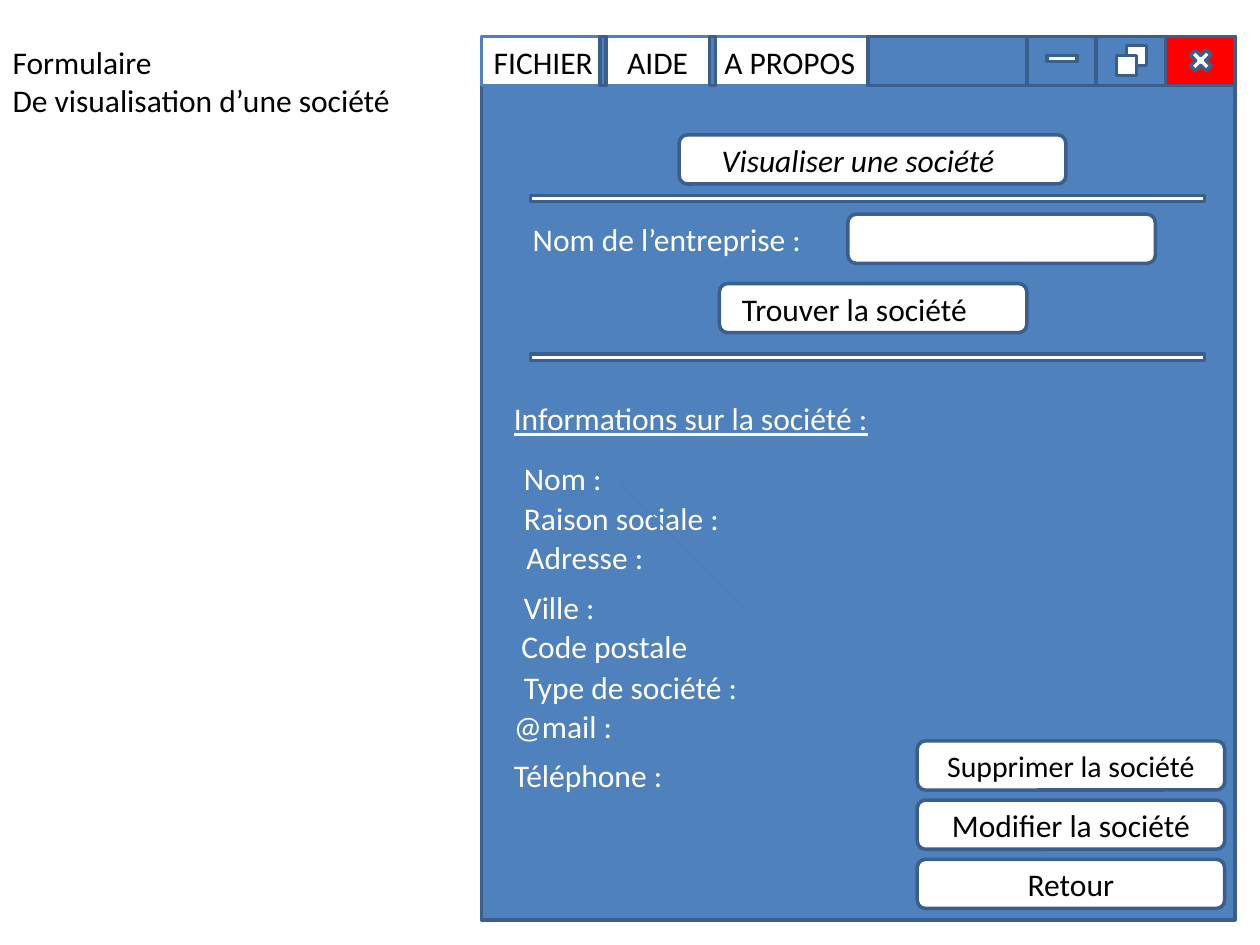
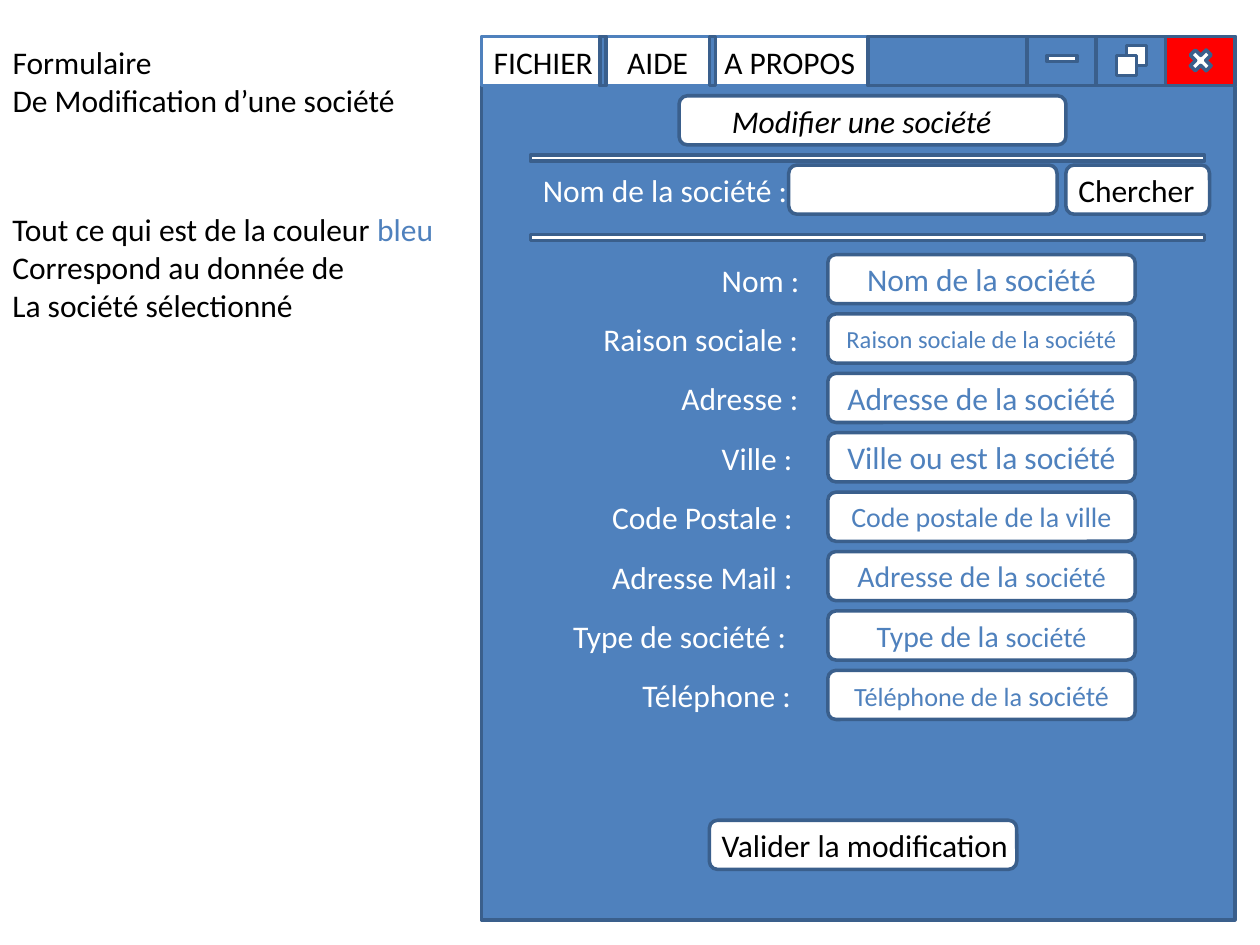
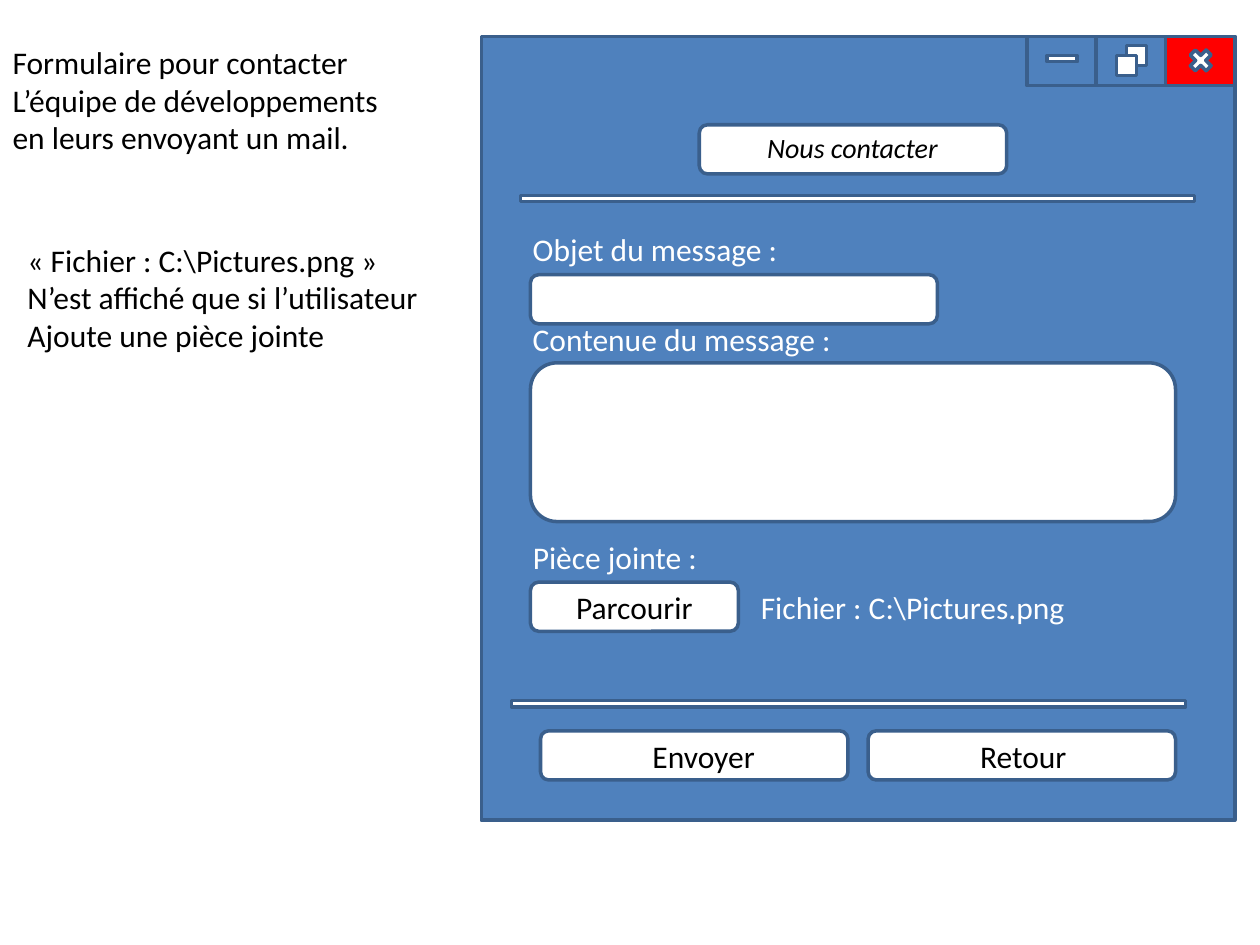
from dataclasses import dataclass
from typing import NamedTuple

from lxml import etree
from pptx import Presentation
from pptx.dml.color import RGBColor
from pptx.enum.shapes import MSO_CONNECTOR, MSO_SHAPE
from pptx.enum.text import MSO_ANCHOR, MSO_AUTO_SIZE, PP_ALIGN
from pptx.oxml.ns import qn
from pptx.util import Inches, Pt

RECTANGLE = MSO_SHAPE.RECTANGLE
ROUNDED = MSO_SHAPE.ROUNDED_RECTANGLE
CROSS = MSO_SHAPE.MATH_MULTIPLY
STRAIGHT = MSO_CONNECTOR.STRAIGHT
LEFT, CENTER = PP_ALIGN.LEFT, PP_ALIGN.CENTER
TOP, MIDDLE = MSO_ANCHOR.TOP, MSO_ANCHOR.MIDDLE
NO_AUTO_SIZE = MSO_AUTO_SIZE.NONE
TITLE_ONLY_LAYOUT = 5


@dataclass(frozen=True)
class Theme:
    font: str = "Calibri"
    blue: str = "4F81BD"
    outline: str = "3A5F8C"
    diagonal: str = "4B7EBC"
    white: str = "FFFFFF"
    black: str = "000000"
    red: str = "FF0000"
    body: float = 18
    outline_width: float = 2
    diagonal_width: float = 0.75


THEME = Theme()


class Box(NamedTuple):
    left: float
    top: float
    width: float
    height: float


class Span(NamedTuple):
    text: str
    color: str = THEME.black
    size: float = THEME.body
    italic: bool = False
    underline: bool = False


class Label(NamedTuple):
    left: float
    top: float
    width: float
    span: Span


class Button(NamedTuple):
    left: float
    top: float
    width: float
    spans: tuple[Span, ...] = ()
    height: float = 0.39


class Field(NamedTuple):
    """A caption and the value box to its right."""
    left: float
    width: float
    caption: str
    value: tuple[Span, ...]


WINDOW_LEFT, WINDOW_TOP, WINDOW_WIDTH = 3.82, 0.29, 5.98
BAR_HEIGHT = 0.39
CONTROL_LEFT, CONTROL_WIDTH = 8.15, 0.55
LABEL_HEIGHT = 0.4
LINE_HEIGHT = 0.3
BUTTON_WIDTH = 2.44
DIVIDER_WIDTH, THIN = 5.35, 0.05


def white(text: str, underline: bool = False) -> Span:
    return Span(text, THEME.white, underline=underline)


def blue(text: str, size: float = THEME.body) -> Span:
    return Span(text, THEME.blue, size)


def emu(box: Box) -> list[int]:
    return [Inches(length) for length in box]


def add_runs(paragraph, spans: tuple[Span, ...], alignment=LEFT) -> None:
    paragraph.alignment = alignment
    for span in spans:
        run = paragraph.add_run()
        run.text = span.text
        font = run.font
        font.name = THEME.font
        font.size = Pt(span.size)
        font.color.rgb = RGBColor.from_string(span.color)
        if span.italic:
            font.italic = True
        if span.underline:
            font.underline = True


def add_lines(text_frame, lines: list[tuple[Span, ...]]) -> None:
    text_frame.word_wrap = True
    for index, spans in enumerate(lines):
        paragraph = text_frame.add_paragraph() if index else text_frame.paragraphs[0]
        add_runs(paragraph, spans)


def add_text(slide, box: Box, lines: list[tuple[Span, ...]]):
    text_box = slide.shapes.add_textbox(*emu(box))
    add_lines(text_box.text_frame, lines)
    return text_box


def add_label(slide, label: Label):
    box = Box(label.left, label.top, label.width, LABEL_HEIGHT)
    return add_text(slide, box, [(label.span,)])


def add_panel(slide, box: Box, fill: str = THEME.white, line: str = THEME.outline,
              kind=RECTANGLE):
    shape = slide.shapes.add_shape(kind, *emu(box))
    shape.shadow.inherit = False
    shape.fill.solid()
    shape.fill.fore_color.rgb = RGBColor.from_string(fill)
    shape.line.color.rgb = RGBColor.from_string(line)
    shape.line.width = Pt(THEME.outline_width)
    return shape


def add_button(slide, button: Button) -> None:
    box = Box(button.left, button.top, button.width, button.height)
    shape = add_panel(slide, box, kind=ROUNDED)
    if button.spans:
        text_frame = shape.text_frame
        text_frame.word_wrap = True
        text_frame.vertical_anchor = MIDDLE
        add_runs(text_frame.paragraphs[0], button.spans, CENTER)


def add_divider(slide, left: float, top: float) -> None:
    add_panel(slide, Box(left, top, DIVIDER_WIDTH, THIN))


def add_window_controls(slide) -> None:
    """Minimise, restore and close, from left to right."""
    for index, fill in enumerate((THEME.blue, THEME.blue, THEME.red)):
        left = CONTROL_LEFT + index * CONTROL_WIDTH
        add_panel(slide, Box(left, WINDOW_TOP, CONTROL_WIDTH, BAR_HEIGHT), fill)
    add_panel(slide, Box(8.31, 0.44, 0.24, THIN))
    add_panel(slide, Box(9.41, 0.36, 0.24, 0.24), kind=CROSS)
    for left, top in ((8.94, 0.36), (8.86, 0.44)):
        add_panel(slide, Box(left, top, 0.16, 0.16))


def add_menu(slide) -> None:
    """Menu entries on tab stops, with the blue separators between them."""
    menu = add_text(slide, Box(WINDOW_LEFT, WINDOW_TOP, 4.33, LABEL_HEIGHT),
                    [(Span("FICHIER\tAIDE\tA PROPOS"),)])
    properties = menu.text_frame.paragraphs[0]._p.get_or_add_pPr()
    tab_list = etree.SubElement(properties, qn("a:tabLst"))
    for position in (1.06, 1.83):
        etree.SubElement(tab_list, qn("a:tab"), pos=str(Inches(position)), algn="l")
    for left, width in ((6.89, 1.26), (4.76, THIN), (5.63, THIN)):
        add_panel(slide, Box(left, WINDOW_TOP, width, BAR_HEIGHT), THEME.blue)


def add_window(slide, height: float, has_menu: bool = True) -> None:
    add_panel(slide, Box(WINDOW_LEFT, WINDOW_TOP, WINDOW_WIDTH, height), THEME.blue)
    if has_menu:
        bar = Box(WINDOW_LEFT, WINDOW_TOP, WINDOW_WIDTH, BAR_HEIGHT)
        add_panel(slide, bar, line=THEME.blue)
    add_window_controls(slide)
    if has_menu:
        add_menu(slide)


def add_titled_slide(presentation, lines: list[str], width: float):
    slide = presentation.slides.add_slide(presentation.slide_layouts[TITLE_ONLY_LAYOUT])
    title = slide.shapes.title
    box = Box(0, WINDOW_TOP, width, LINE_HEIGHT * len(lines) + 0.11)
    title.left, title.top, title.width, title.height = emu(box)
    text_frame = title.text_frame
    text_frame.auto_size = NO_AUTO_SIZE
    text_frame.vertical_anchor = TOP
    add_lines(text_frame, [(Span(line),) for line in lines])
    return slide


def add_diagonal(slide) -> None:
    connector = slide.shapes.add_connector(
        STRAIGHT, Inches(4.92), Inches(3.83), Inches(5.92), Inches(4.83))
    connector.line.color.rgb = RGBColor.from_string(THEME.diagonal)
    connector.line.width = Pt(THEME.diagonal_width)
    etree.SubElement(connector._element.spPr, qn("a:effectLst"))


def build_view_slide(presentation) -> None:
    slide = add_titled_slide(
        presentation, ["Formulaire", "De visualisation d’une société"], 3.24)
    add_window(slide, 7.01)
    for top in (1.55, 2.81):
        add_divider(slide, 4.21, top)
    buttons = [
        Button(5.39, 1.07, 3.07),
        Button(6.73, 1.7, BUTTON_WIDTH),
        Button(5.71, 2.25, BUTTON_WIDTH),
    ]
    actions = (Span("Supprimer la société", size=17), Span("Modifier la société"),
               Span("Retour"))
    buttons += [Button(7.28, 5.88 + index * 0.47, BUTTON_WIDTH, (action,))
                for index, action in enumerate(actions)]
    for button in buttons:
        add_button(slide, button)
    labels = (
        Label(5.63, 1.07, 2.6, Span("Visualiser une société", italic=True)),
        Label(4.13, 1.7, 2.36, white("Nom de l’entreprise :")),
        Label(5.79, 2.25, 2.01, Span("Trouver la société")),
        Label(3.98, 3.12, 3.04, white("Informations sur la société :", underline=True)),
        Label(4.06, 3.59, 0.83, white("Nom :")),
        Label(4.06, 3.91, 1.77, white("Raison sociale :")),
        Label(4.08, 4.22, 1.16, white("Adresse :")),
        Label(4.06, 4.62, 0.77, white("Ville :")),
        Label(4.04, 4.93, 1.55, white("Code postale")),
        Label(4.06, 5.25, 1.92, white("Type de société :")),
        Label(3.98, 5.56, 1.14, white("@mail :")),
        Label(3.98, 5.95, 1.57, white("Téléphone :")),
    )
    for label in labels:
        add_label(slide, label)
    add_diagonal(slide)


def build_edit_slide(presentation) -> None:
    slide = add_titled_slide(
        presentation, ["Formulaire", "De Modification d’une société"], 3.28)
    add_window(slide, 7.01)
    for top in (1.23, 1.86):
        add_divider(slide, 4.21, top)
    for button in (
        Button(5.39, 0.76, 3.07),
        Button(6.26, 1.31, 2.13),
        Button(8.46, 1.31, 1.14),
        Button(5.63, 6.51, BUTTON_WIDTH),
    ):
        add_button(slide, button)
    for label in (
        Label(5.71, 0.76, 2.6, Span("Modifier une société", italic=True)),
        Label(4.21, 1.31, 2.17, white("Nom de la société :")),
        Label(8.46, 1.31, 1.13, Span("Chercher")),
        Label(5.63, 6.51, 2.5, Span("Valider la modification")),
    ):
        add_label(slide, label)

    fields = (
        Field(5.63, 0.83, "Nom :", (blue("Nom de la société"),)),
        Field(4.69, 1.77, "Raison sociale :", (blue("Raison sociale de la société", 14),)),
        Field(5.31, 1.14, "Adresse :", (blue("Adresse de la société"),)),
        Field(5.63, 0.77, "Ville :", (blue("Ville ou est la société"),)),
        Field(4.76, 1.65, "Code Postale :", (blue("Code postale de la ville", 16),)),
        Field(4.76, 1.65, "Adresse Mail :",
              (blue("Adresse de la ", 17), blue("société", 16))),
        Field(4.45, 1.97, "Type de société :",
              (blue("Type de la ", 17), blue("société", 16))),
        Field(5, 1.4, "Téléphone :",
              (blue("Téléphone de la ", 15), blue("société", 16))),
    )
    first_top, last_top = 2.02, 5.32
    step = (last_top - first_top) / (len(fields) - 1)
    for index, field in enumerate(fields):
        top = first_top + index * step
        add_button(slide, Button(6.57, top, BUTTON_WIDTH, field.value))
        add_label(slide, Label(field.left, top, field.width, white(field.caption)))

    add_text(slide, Box(0, 1.62, 3.64, 1.01), [
        (Span("Tout ce qui est de la couleur "), blue("bleu")),
        (Span("Correspond au donnée de"),),
        (Span("La société sélectionné"),),
    ])


def build_contact_slide(presentation) -> None:
    slide = add_titled_slide(
        presentation,
        ["Formulaire pour contacter", "L’équipe de développements",
         "en leurs envoyant un mail."], 3.2)
    add_window(slide, 6.22, has_menu=False)
    for left, top in ((4.13, 1.55), (4.06, 5.56)):
        add_divider(slide, left, top)
    for button in (
        Button(5.55, 0.99, BUTTON_WIDTH),
        Button(4.21, 2.18, 3.23),
        Button(4.21, 2.88, 5.12, height=1.26),
        Button(4.21, 4.62, 1.65, (Span("Parcourir"),)),
        Button(4.29, 5.8, BUTTON_WIDTH),
        Button(6.89, 5.8, BUTTON_WIDTH),
    ):
        add_button(slide, button)
    for label in (
        Label(5.99, 0.99, 1.8, Span("Nous contacter", size=16, italic=True)),
        Label(4.13, 1.78, 2.2, white("Objet du message :")),
        Label(4.13, 2.49, 2.6, white("Contenue du message :")),
        Label(4.13, 4.22, 1.58, white("Pièce jointe :")),
        Label(5.94, 4.62, 2.64, white("Fichier : C:\\Pictures.png")),
        Label(5.08, 5.8, 1.02, Span("Envoyer")),
        Label(7.68, 5.8, 0.89, Span("Retour")),
    ):
        add_label(slide, label)
    note = ("« Fichier : C:\\Pictures.png »", "N’est affiché que si l’utilisateur",
            "Ajoute une pièce jointe")
    add_text(slide, Box(0.12, 1.86, 3.4, 1.01), [(Span(line),) for line in note])


def main() -> None:
    presentation = Presentation()
    presentation.slide_width = Inches(10)
    presentation.slide_height = Inches(7.5)
    build_view_slide(presentation)
    build_edit_slide(presentation)
    build_contact_slide(presentation)
    presentation.save("out.pptx")


if __name__ == "__main__":
    main()
